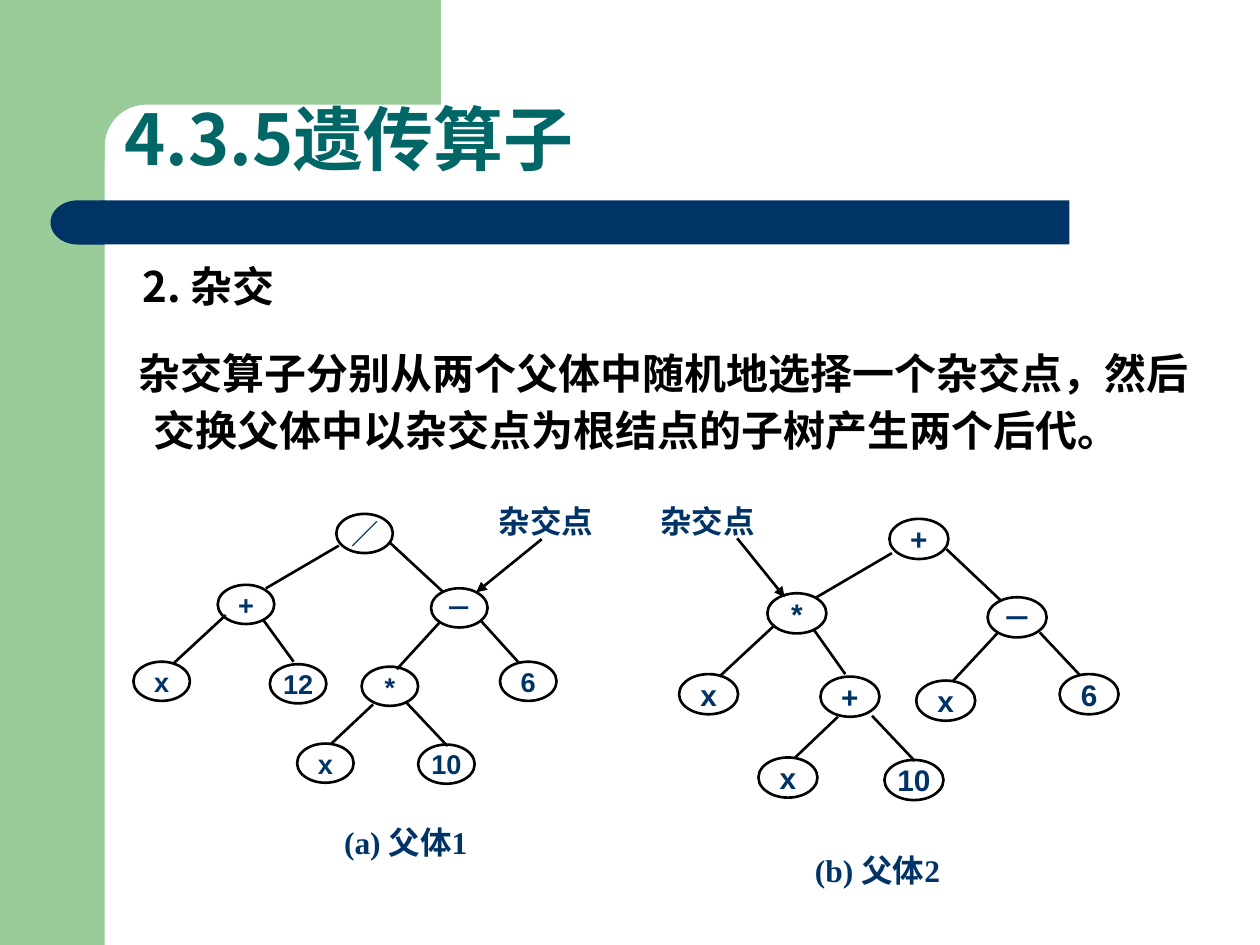
"""Build a slide on the crossover operator with two parent expression trees."""
from math import cos, pi, sin

from lxml.etree import SubElement
from pptx import Presentation
from pptx.dml.color import RGBColor as RGB
from pptx.enum.shapes import MSO_CONNECTOR as CONN, MSO_SHAPE as SHAPE
from pptx.enum.text import MSO_ANCHOR as ANCHOR, PP_ALIGN as ALIGN
from pptx.oxml.ns import qn
from pptx.util import Cm, Pt

COLORS = {"green": "99CC99", "navy": "003366", "teal": "006666",
          "black": "000000", "white": "FFFFFF"}
CJK, SANS, SERIF = "Noto Sans CJK SC", "Arial", "Times New Roman"

TITLE = "4.3.5遗传算子"
BODY = [
    {"text": "2. 杂交", "left": 0.52, "indent": 0, "before": 6},
    {"text": "杂交算子分别从两个父体中随机地选择一个杂交点，然后"
             "交换父体中以杂交点为根结点的子树产生两个后代。",
     "left": 0.74, "indent": -0.3, "before": 17, "line": 32.6},
]
TREES = [
    {
        "node_size": (1.14, 0.79), "font_size": 15.5,
        "nodes": [("／", 6.78, 10.36), ("+", 4.39, 11.79), ("－", 8.69, 11.86),
                  ("x", 2.69, 13.34), ("12", 5.44, 13.39), ("*", 7.29, 13.44),
                  ("6", 10.08, 13.34), ("x", 5.99, 14.99), ("10", 8.43, 15.01)],
        "edges": [(6.83, 11, 5.36, 11.86), (7.87, 10.95, 8.94, 11.94),
                  (4.55, 12.4, 3.48, 13.39), (5.31, 12.5, 5.92, 13.34),
                  (8.86, 12.55, 8, 13.49), (9.7, 12.52, 10.46, 13.36),
                  (7.52, 14.2, 6.68, 14.99), (8.18, 14.15, 9.02, 15.04)],
        "arrow": (10.92, 10.87, 9.6, 11.94),
        "point": ("杂交点", (10.06, 10.13, 2.84, 0.94), ALIGN.JUSTIFY),
        "caption": ("(a) 父体1", (4.6, 16.59, 7.16, 0.91), ALIGN.CENTER),
    },
    {
        "node_size": (1.19, 0.81), "font_size": 17,
        "nodes": [("+", 17.93, 10.46), ("*", 15.47, 11.96), ("－", 19.91, 12.04),
                  ("x", 13.69, 13.59), ("+", 16.54, 13.64), ("x", 18.47, 13.72),
                  ("6", 21.36, 13.59), ("x", 15.29, 15.27), ("10", 17.83, 15.32)],
        "edges": [(17.98, 11.15, 16.46, 12.04), (19.08, 11.07, 20.19, 12.12),
                  (15.62, 12.6, 14.5, 13.64), (16.41, 12.7, 17.04, 13.59),
                  (20.12, 12.75, 19.2, 13.74), (20.96, 12.75, 21.77, 13.61),
                  (16.89, 14.45, 16.03, 15.27), (17.58, 14.43, 18.44, 15.34)],
        "arrow": (14.86, 10.85, 15.82, 12.04),
        "point": ("杂交点", (13.31, 10.13, 2.95, 0.99), ALIGN.JUSTIFY),
        "caption": ("(b) 父体2", (16.43, 17.15, 7.47, 0.97), ALIGN.JUSTIFY),
    },
]


def paint(sp, color):
    sp.shadow.inherit = False
    sp.fill.solid()
    sp.fill.fore_color.rgb = RGB.from_string(COLORS[color])
    sp.line.fill.background()
    return sp


def add_block(s, kind, box, color):
    return paint(s.shapes.add_shape(kind, *map(Cm, box)), color)


def style(p, font, size, color):
    for r in p.runs:
        r.font.name, r.font.size, r.font.bold = font, Pt(size), True
        r.font.color.rgb = RGB.from_string(COLORS[color])
        if font == CJK:
            SubElement(r.font._element, qn("a:ea"), typeface=font)


def clear_margins(tf):
    tf.margin_left = tf.margin_right = tf.margin_top = tf.margin_bottom = 0


def add_text(s, box):
    tf = s.shapes.add_textbox(*map(Cm, box)).text_frame
    tf.word_wrap = True
    return tf


def add_label(s, text, box, align):
    tf = add_text(s, box)
    clear_margins(tf)
    p = tf.paragraphs[0]
    p.text, p.alignment = text, align
    style(p, SERIF, 18, "navy")


def add_line(s, ends, arrow=False):
    c = s.shapes.add_connector(CONN.STRAIGHT, *map(Cm, ends))
    c.line.width = Pt(1.5)
    c.line.color.rgb = RGB.from_string(COLORS["black"])
    if arrow:
        SubElement(c.line._get_or_add_ln(), qn("a:tailEnd"), type="triangle")
    SubElement(c._element.spPr, qn("a:effectLst"))


def add_node(s, text, box, size):
    sp = add_block(s, SHAPE.OVAL, box, "white")
    sp.line.color.rgb = RGB.from_string(COLORS["black"])
    sp.line.width = Pt(1.5)
    tf = sp.text_frame
    clear_margins(tf)
    tf.word_wrap, tf.vertical_anchor = False, ANCHOR.MIDDLE
    p = tf.paragraphs[0]
    p.text, p.alignment = text, ALIGN.CENTER
    style(p, SANS, size, "navy")


def add_frame(s):
    add_block(s, SHAPE.RECTANGLE, (0, 0, 2.11, 19.05), "green")
    center, radius, steps = 2.95, 0.84, 12
    angles = [pi / 2 * i / steps for i in range(steps + 1)]
    arc = [(center - radius * sin(a), center - radius * cos(a)) for a in angles]
    outline = [(8.89, 0), (8.89, 2.11), *arc, (2.11, 3.25), (1.27, 3.25)]
    fb = s.shapes.build_freeform(Cm(1.27), 0)
    fb.add_line_segments([(Cm(x), Cm(y)) for x, y in outline], close=True)
    paint(fb.convert_to_shape(), "green")
    add_block(s, SHAPE.RECTANGLE, (2.08, 4.04, 19.48, 0.89), "navy")
    cap = add_block(s, SHAPE.FLOWCHART_DELAY, (1.02, 4.04, 1.09, 0.89), "navy")
    cap._element.spPr.xfrm.set("flipH", "1")


def add_title(s):
    tf = add_text(s, (2.26, 0.89, 21.69, 2.87))
    tf.vertical_anchor = ANCHOR.BOTTOM
    p = tf.paragraphs[0]
    p.text, p.line_spacing = TITLE, 0.9
    style(p, CJK, 40, "teal")


def add_body(s):
    tf = add_text(s, (2.11, 5.13, 22.25, 12.4))
    for i, item in enumerate(BODY):
        p = tf.add_paragraph() if i else tf.paragraphs[0]
        p.text, p.space_before = item["text"], Pt(item["before"])
        if "line" in item:
            p.line_spacing = Pt(item["line"])
        pPr = p._p.get_or_add_pPr()
        pPr.set("marL", str(Cm(item["left"])))
        pPr.set("indent", str(Cm(item["indent"])))
        style(p, CJK, 24, "black")


def add_tree(s, tree):
    for text, x, y in tree["nodes"]:
        add_node(s, text, (x, y, *tree["node_size"]), tree["font_size"])
    for ends in tree["edges"]:
        add_line(s, ends)
    add_line(s, tree["arrow"], arrow=True)
    add_label(s, *tree["point"])
    add_label(s, *tree["caption"])


def main():
    prs = Presentation()
    prs.slide_width, prs.slide_height = Cm(25.4), Cm(19.05)
    s = prs.slides.add_slide(prs.slide_layouts[6])
    add_frame(s)
    add_title(s)
    add_body(s)
    for tree in TREES:
        add_tree(s, tree)
    prs.save("out.pptx")


if __name__ == "__main__":
    main()
